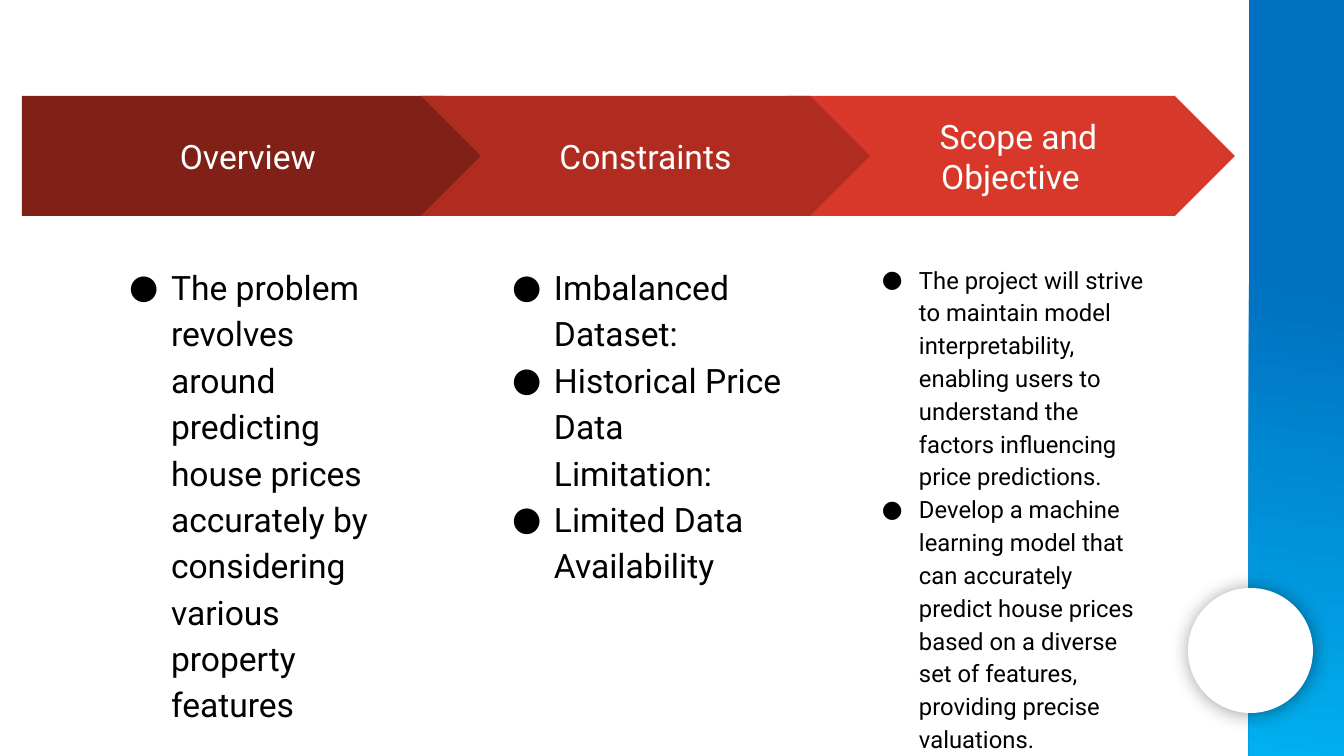
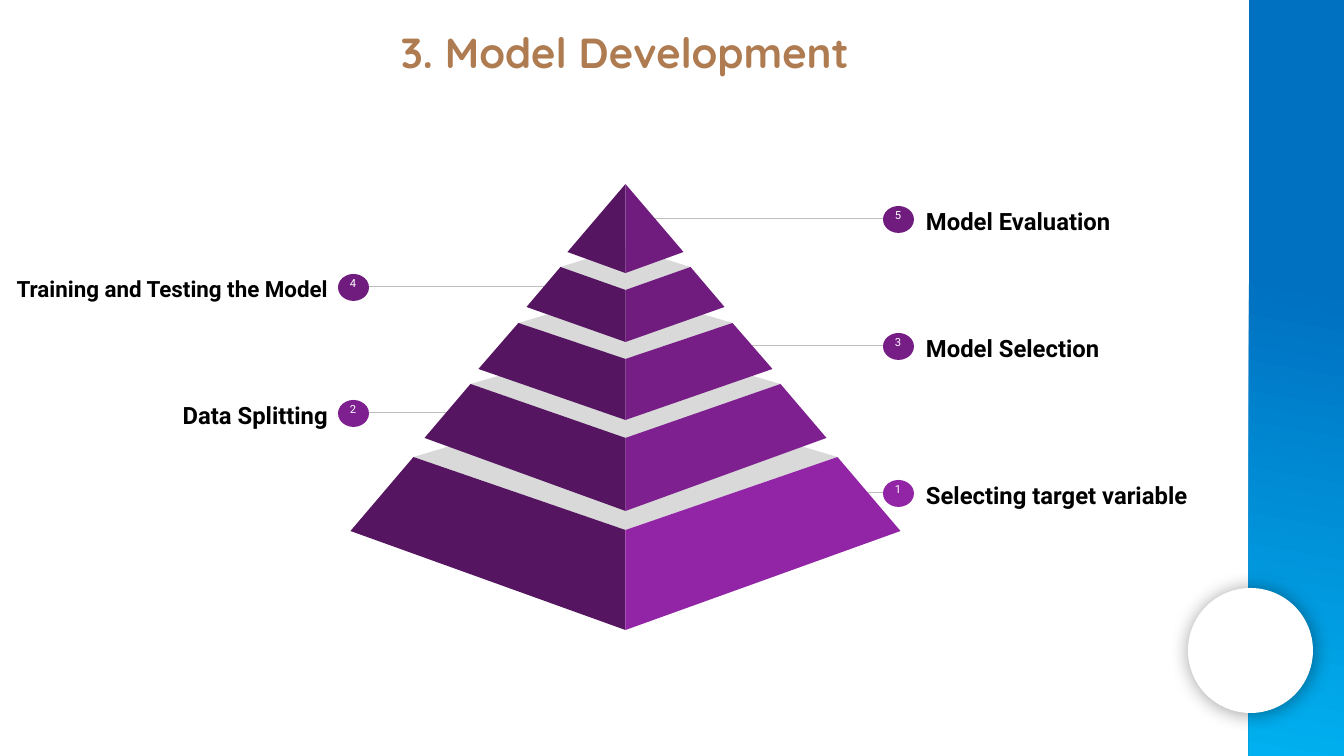
import lxml.etree
import pptx
import pptx.dml.color
import pptx.enum.shapes
import pptx.enum.text
import pptx.oxml.ns
import pptx.util

SHAPES = pptx.enum.shapes.MSO_SHAPE
ALIGN = pptx.enum.text.PP_ALIGN
ANCHOR = pptx.enum.text.MSO_ANCHOR

COLOURS = {
    "white": "FFFFFF", "black": "000000",
    "band top": "0070C0", "band foot": "00B0F0",
    "overview": "802017", "constraints": "B02C20", "scope": "D83829",
    "title": "AF7B51", "rule": "BDBDBD", "ledge": "D9D9D9", "shade": "551561",
    "evaluation": "701C7F", "training": "701C7F", "selection": "761E86",
    "splitting": "7F2090", "target": "9225A5",
}
TITLE_STYLE = {"name": "Quicksand", "size": pptx.util.Pt(30), "bold": True}
INSET = 10


def px(length):
    return pptx.util.Emu(round(length * 914400 / 100.8))


def colour(name):
    return pptx.dml.color.RGBColor.from_string(COLOURS[name])


def roboto(size, bold=False):
    return {"name": "Roboto", "size": pptx.util.Pt(size), "bold": bold}


def child(parent, tag, **attributes):
    return lxml.etree.SubElement(parent, pptx.oxml.ns.qn(tag), attributes)


def place(shape, box):
    for side, length in zip(("left", "top", "width", "height"), box):
        setattr(shape, side, px(length))


def paint(shape, fill):
    shape.shadow.inherit = False
    shape.fill.solid()
    shape.fill.fore_color.rgb = colour(fill)
    shape.line.fill.background()


def add_shape(page, kind, box, fill):
    shape = page.shapes.add_shape(kind, *map(px, box))
    paint(shape, fill)
    return shape


def write(shape, texts, style, ink="black", align=ALIGN.LEFT, anchor=ANCHOR.TOP,
          spacing=None):
    frame = shape.text_frame
    settings = {"word_wrap": True, "auto_size": pptx.enum.text.MSO_AUTO_SIZE.NONE,
                "vertical_anchor": anchor}
    settings.update({f"margin_{side}": px(INSET)
                     for side in ("left", "right", "top", "bottom")})
    for name, value in settings.items():
        setattr(frame, name, value)
    for index, text in enumerate(texts):
        para = frame.add_paragraph() if index else frame.paragraphs[0]
        para.alignment = align
        para.line_spacing = spacing
        span = para.add_run()
        span.text = text
        for name, value in style.items():
            setattr(span.font, name, value)
        span.font.color.rgb = colour(ink)
    return frame.paragraphs


def add_text(page, box, texts, style, **options):
    return write(page.shapes.add_textbox(*map(px, box)), texts, style, **options)


def add_bullet(para, hang):
    properties = para._p.get_or_add_pPr()
    properties.set("marL", str(px(50)))
    properties.set("indent", str(px(-hang)))
    child(child(properties, "a:buClr"), "a:srgbClr", val=COLOURS["black"])
    child(properties, "a:buFont", typeface="Roboto")
    child(properties, "a:buChar", char="●")


def add_side_band(deck, page, box):
    """Draw the band and its disc, then move both to the slide master."""
    left, top, width, height = box
    band = add_shape(page, SHAPES.RECTANGLE, box, "band top")
    band.fill.gradient()
    band.fill.gradient_angle = 260
    ends = ((0.37, "band top"), (1, "band foot"))
    for stop, (position, name) in zip(band.fill.gradient_stops, ends):
        stop.position = position
        stop.color.rgb = colour(name)

    disc = add_shape(page, SHAPES.OVAL, (left - 61, top + 588, 125, 125), "white")
    effects = disc.element.spPr.find(pptx.oxml.ns.qn("a:effectLst"))
    shadow = child(effects, "a:outerShdw", blurRad=str(pptx.util.Pt(14)),
                   dist=str(pptx.util.Pt(1)), dir=str(43 * 60000),
                   algn="ctr", rotWithShape="0")
    tint = child(shadow, "a:srgbClr", val=COLOURS["black"])
    child(tint, "a:alpha", val="40000")

    for number, shape in enumerate((band, disc), 20):
        shape.element.nvSpPr.cNvPr.set("id", str(number))
        deck.slide_master.shapes.element.append(shape.element)


# Three arrows with a bulleted column under each
COLUMNS = [
    # kind, left, width, fill, heading, first indent, body offset, size, hang, points
    (SHAPES.CHEVRON, 764, 449, "scope", "Scope and Objective", 16, 73, 17, 37, [
        "The project will strive to maintain model interpretability, enabling users "
        "to understand the factors influencing price predictions.",
        "Develop a machine learning model that can accurately predict house prices "
        "based on a diverse set of features, providing precise valuations."]),
    (SHAPES.PENTAGON, 0, 482, "overview", "Overview", 0, 89, 24, 42, [
        "The problem revolves around predicting house prices accurately by "
        "considering various property features"]),
    (SHAPES.CHEVRON, 399, 449, "constraints", "Constraints", 0, 73, 24, 42, [
        "Imbalanced Dataset:", "Historical Price Data Limitation:",
        "Limited Data Availability"]),
]


def arrow_columns(page, box):
    left, top, _, height = box
    for (kind, offset, width, fill, heading, indent, body_offset, size, hang,
         points) in COLUMNS:
        arrow_left = left + offset
        arrow = add_shape(page, kind, (arrow_left, top, width, 120), fill)
        arrow.adjustments[0] = 0.5
        paras = write(arrow, [heading], roboto(24), ink="white",
                      align=ALIGN.CENTER, anchor=ANCHOR.MIDDLE)
        paras[0]._p.get_or_add_pPr().set("indent", str(px(indent)))
        body_box = (arrow_left + body_offset, top + 155, 303, height - 155)
        for para in add_text(page, body_box, points, roboto(size), spacing=1.15):
            add_bullet(para, hang)


# Numbered callouts: number, label, fill, size, centre height, inner end of rule
RIGHT_CALLOUTS = [
    ("5", "Model Evaluation", "evaluation", 17, 219, 651),
    ("3", "Model Selection", "selection", 17, 346, 735),
    ("1", "Selecting target variable", "target", 17, 493, 814),
]
LEFT_CALLOUTS = [
    ("4", "Training and Testing the Model", "training", 16, 287, 547),
    ("2", "Data Splitting", "splitting", 17, 413, 478),
]


def callouts(page, items, centre, label_left, align):
    for number, label, fill, size, middle, rule_end in items:
        rule = page.shapes.add_connector(
            pptx.enum.shapes.MSO_CONNECTOR.STRAIGHT,
            *map(px, (rule_end, middle, centre, middle)))
        rule.line.color.rgb = colour("rule")
        rule.line.width = pptx.util.Pt(0.75)
        child(rule.element.spPr, "a:effectLst")
        add_shape(page, SHAPES.OVAL, (centre - 15, middle - 13, 31, 27), fill)
        add_text(page, (centre - 19, middle - 21, 38, 42), [number], roboto(8),
                 ink="white", align=ALIGN.CENTER)
        add_text(page, (label_left, middle - 51, 334, 102), [label],
                 roboto(size, bold=True), align=align, anchor=ANCHOR.MIDDLE,
                 spacing=1.15)


# Pyramid tiers from the base up: fill, back corner of the ledge, then half width,
# outer height and centre height of the upper and the lower edge
TIERS = [
    ("target", 210, (212, 273, 346), (275, 347, 446)),
    ("splitting", 155, (155, 200, 254), (201, 254, 327)),
    ("selection", 107, (107, 139, 175), (147, 185, 236)),
    ("training", 63, (65, 83, 106), (99, 123, 158)),
    ("evaluation", None, (0, 0, 0), (58, 68, 89)),
]


def pyramid(page, box):
    left, top, width, _ = box
    axis = left + width / 2

    def facet(points, fill):
        corners = [(px(axis + x), px(top + y)) for x, y in dict.fromkeys(points)]
        builder = page.shapes.build_freeform(*corners[0])
        builder.add_line_segments(corners[1:])
        paint(builder.convert_to_shape(), fill)

    for fill, back, upper, lower in TIERS:
        upper_half, upper_side, upper_centre = upper
        lower_half, lower_side, lower_centre = lower
        if back is not None:
            facet([(-upper_half, upper_side), (0, upper_centre),
                   (upper_half, upper_side), (0, back)], "ledge")
        for sign, face in ((-1, "shade"), (1, fill)):
            facet([(sign * upper_half, upper_side), (0, upper_centre),
                   (0, lower_centre), (sign * lower_half, lower_side)], face)


def title(page, box, text):
    place(page.shapes.title, box)
    write(page.shapes.title, [text], TITLE_STYLE, ink="title", align=ALIGN.CENTER)


deck = pptx.Presentation()
deck.slide_width, deck.slide_height = px(1344), px(756)
title_only, blank = deck.slide_layouts[5], deck.slide_layouts[6]

# Problem statement
problem = deck.slides.add_slide(blank)
add_side_band(deck, problem, (1249, 0, 95, 756))
arrow_columns(problem, (22, 96, 1213, 626))

# Model development
development = deck.slides.add_slide(title_only)
title(development, (37, 17, 1176, 131), "3. Model Development")
callouts(development, RIGHT_CALLOUTS, 898, 916, ALIGN.LEFT)
callouts(development, LEFT_CALLOUTS, 353, 4, ALIGN.RIGHT)
pyramid(development, (351, 184, 549, 446))

deck.save("out.pptx")
